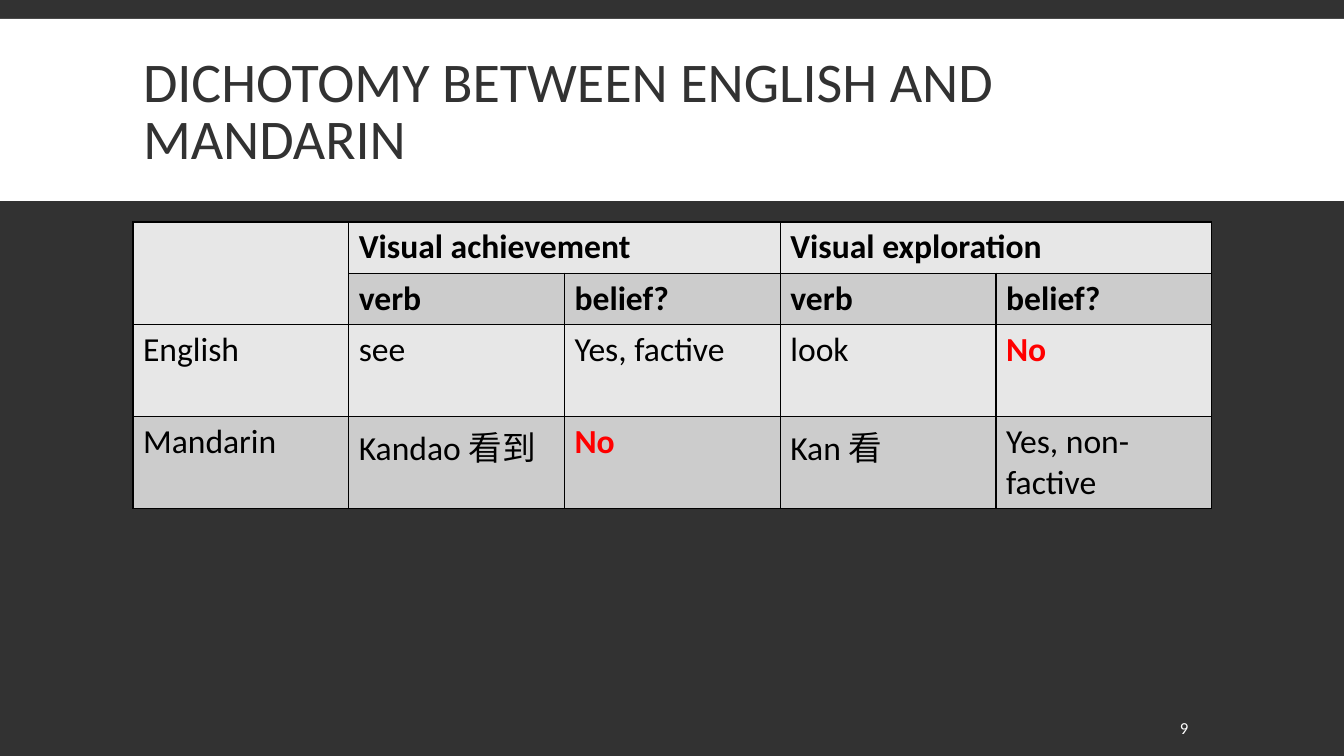
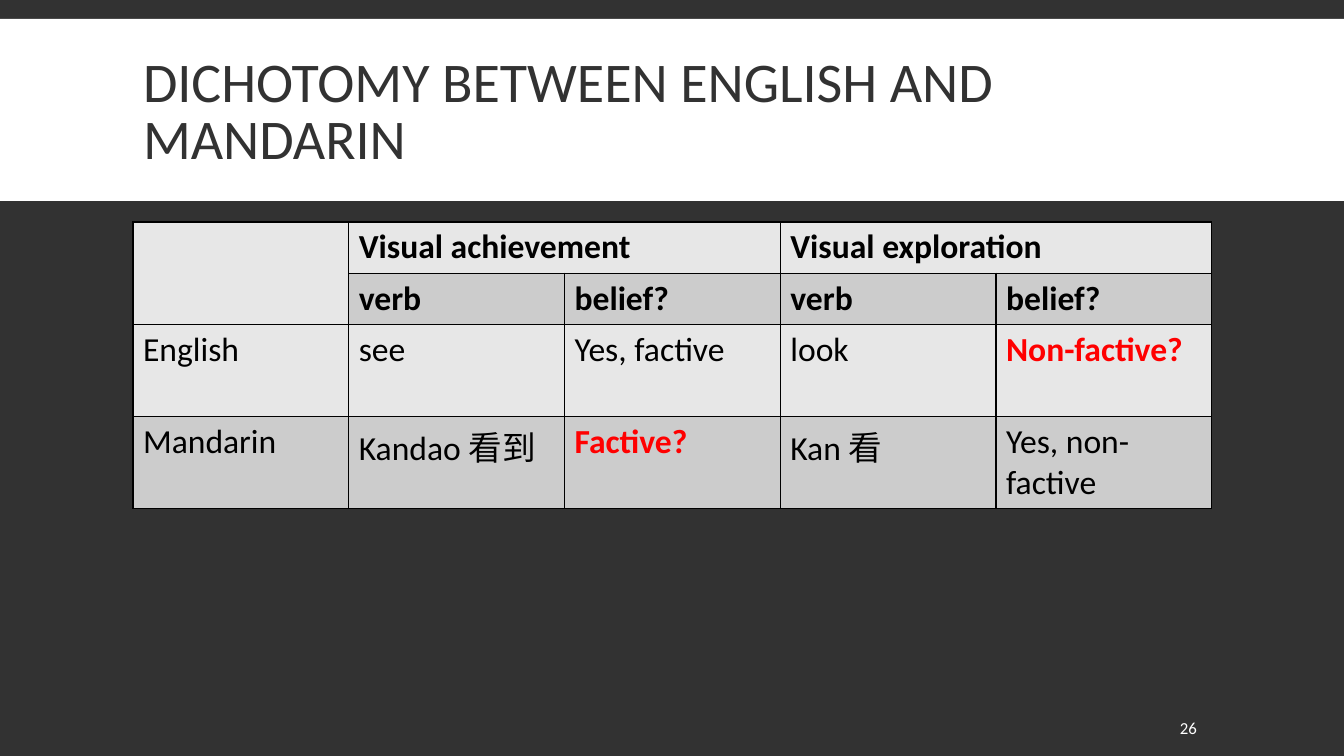
import pptx
import pptx.dml.color
import pptx.enum.shapes
import pptx.enum.text
import pptx.oxml
import pptx.oxml.ns
import pptx.util

EMU_PER_PX = 914400 / 100.8
SLIDE_SIZE = (1344, 756)
BAND_BOX = (0, 19, 1344, 182)
TITLE_BOX = (133, 31, 1079, 166)
TABLE_BOX = (133, 222, 1079, 286)
NUMBER_BOX = (1175, 708, 104, 40)

DARK, WHITE, BLACK, RED = "323232", "FFFFFF", "000000", "FF0000"
STRIPES = ("E7E7E7", "CCCCCC")
TITLE_FONT = {"name": "Calibri", "size": pptx.util.Pt(40), "bold": False}
CELL_FONT = {"name": "Calibri", "size": pptx.util.Pt(24), "bold": False}
STRONG_FONT = {**CELL_FONT, "bold": True}
NUMBER_FONT = {"name": "Calibri", "size": pptx.util.Pt(12)}

TITLE = "DICHOTOMY BETWEEN ENGLISH AND MANDARIN"
HEADER_ROWS = 2
ROW_HEIGHTS = (51, 51, 92, 92)
MERGES = (((0, 0), (1, 0)), ((0, 1), (0, 2)), ((0, 3), (0, 4)))
SLIDES = (
    {"number": "9", "look_belief": "No", "kandao_belief": "No"},
    {"number": "26", "look_belief": "Non-factive?", "kandao_belief": "Factive?"},
)


def px(length):
    """Turn a length in px into EMU."""
    return pptx.util.Emu(round(length * EMU_PER_PX))


def place(box):
    """Turn a px box into EMU left, top, width and height."""
    return [px(length) for length in box]


def rgb(hex_color):
    """Turn a hex string into a colour."""
    return pptx.dml.color.RGBColor.from_string(hex_color)


def assign(target, values):
    """Set attributes from a dict of values."""
    for key, value in values.items():
        setattr(target, key, value)


def paint(fill, hex_color):
    """Make a fill solid in one colour."""
    fill.solid()
    fill.fore_color.rgb = rgb(hex_color)


def write(frame, text, font, hex_color):
    """Write one left-aligned paragraph and return it."""
    paragraph = frame.paragraphs[0]
    paragraph.alignment = pptx.enum.text.PP_ALIGN.LEFT
    run = paragraph.add_run()
    run.text = text
    assign(run.font, font)
    run.font.color.rgb = rgb(hex_color)
    return paragraph


def set_master(master, slide):
    """Give the master its dark background and its white title band."""
    paint(master.background.fill, DARK)
    rectangle = pptx.enum.shapes.MSO_SHAPE.RECTANGLE
    band = slide.shapes.add_shape(rectangle, *place(BAND_BOX))
    band.shadow.inherit = False
    paint(band.fill, WHITE)
    band.line.fill.background()
    band.element.nvSpPr.cNvPr.set("id", "20")
    master.shapes[0].element.addprevious(band.element)


def add_title(slide, box):
    """Fill the title placeholder in the given box."""
    title = slide.shapes.title
    assign(title, dict(zip(("left", "top", "width", "height"), place(box))))
    assign(title.text_frame, {
        "word_wrap": True,
        "auto_size": pptx.enum.text.MSO_AUTO_SIZE.NONE,
        "vertical_anchor": pptx.enum.text.MSO_ANCHOR.MIDDLE,
    })
    write(title.text_frame, TITLE, TITLE_FONT, DARK).line_spacing = 0.85


def add_borders(cell):
    """Draw a thin black line on each side of a cell."""
    properties = cell._tc.get_or_add_tcPr()
    for side in "LRTB":
        properties.append(pptx.oxml.parse_xml(
            f'<a:ln{side} {pptx.oxml.ns.nsdecls("a")} w="{pptx.util.Pt(1)}">'
            f'<a:solidFill><a:srgbClr val="{BLACK}"/></a:solidFill></a:ln{side}>'
        ))


def add_verb_table(slide, box, look_belief, kandao_belief):
    """Compare the verbs of both languages in the given box."""
    rows = (
        ("", "Visual achievement", "", "Visual exploration", ""),
        ("", "verb", "belief?", "verb", "belief?"),
        ("English", "see", "Yes, factive", "look", look_belief),
        ("Mandarin", "Kandao 看到", kandao_belief, "Kan 看", "Yes, non-factive"),
    )
    highlights = {(2, 4), (3, 2)}
    table = slide.shapes.add_table(len(rows), len(rows[0]), *place(box)).table
    assign(table, {"first_row": False, "horz_banding": False})
    for row, height in zip(table.rows, ROW_HEIGHTS):
        row.height = px(height)
    for row_index, texts in enumerate(rows):
        for column_index, text in enumerate(texts):
            cell = table.cell(row_index, column_index)
            add_borders(cell)
            paint(cell.fill, STRIPES[row_index % 2])
            if text:
                highlighted = (row_index, column_index) in highlights
                strong = highlighted or row_index < HEADER_ROWS
                write(cell.text_frame, text, STRONG_FONT if strong else CELL_FONT,
                      RED if highlighted else BLACK)
    for first, last in MERGES:
        table.cell(*first).merge(table.cell(*last))


def add_number(slide, box, number):
    """Write the slide number in the given box."""
    frame = slide.shapes.add_textbox(*place(box)).text_frame
    assign(frame, {
        "word_wrap": True,
        "margin_left": px(5),
        "vertical_anchor": pptx.enum.text.MSO_ANCHOR.MIDDLE,
    })
    write(frame, number, NUMBER_FONT, WHITE)


def main():
    """Build the slides and save them."""
    deck = pptx.Presentation()
    deck.slide_width, deck.slide_height = map(px, SLIDE_SIZE)
    title_only = deck.slide_layouts[5]
    for index, content in enumerate(SLIDES):
        slide = deck.slides.add_slide(title_only)
        if index == 0:
            set_master(deck.slide_master, slide)
        add_title(slide, TITLE_BOX)
        add_verb_table(slide, TABLE_BOX, content["look_belief"], content["kandao_belief"])
        add_number(slide, NUMBER_BOX, content["number"])
    deck.save("out.pptx")


if __name__ == "__main__":
    main()
